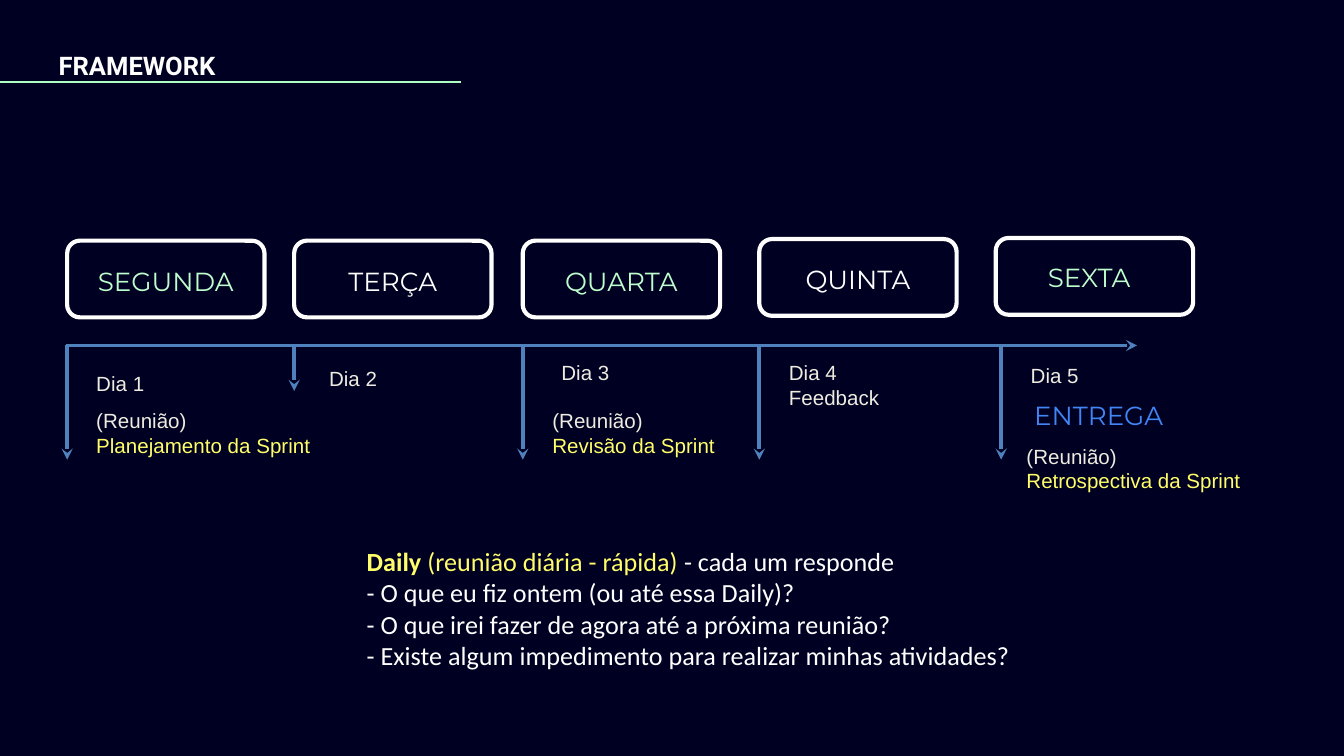
from lxml import etree
from pptx import Presentation, util as u
from pptx.dml.color import RGBColor
from pptx.enum import shapes, text
from pptx.oxml.ns import qn

COLORS = {"bg": "000022", "white": "FFFFFF", "mint": "BEFECD", "rule": "AEFFC1",
          "arrow": "4F81BD", "pale": "EEECE1", "yellow": "FFFE6A", "blue": "4285F4"}
FORMATS = {
    "title": {"name": "Roboto", "size": u.Pt(13.7), "bold": True},
    "day": {"name": "Montserrat", "size": u.Pt(14), "bold": False},
    "note": {"name": "Arial", "size": u.Pt(11), "bold": False},
    "daily": {"name": "Calibri", "size": u.Pt(14), "bold": False},
    "daily_bold": {"name": "Calibri", "size": u.Pt(14), "bold": True},
}
LEFT, CENTER = text.PP_ALIGN.LEFT, text.PP_ALIGN.CENTER


class Deck:
    """Holds the style and the current slide, and draws each kind of element."""

    def __init__(self, width, height):
        self.prs = Presentation()
        self.prs.slide_width, self.prs.slide_height = u.Cm(width), u.Cm(height)
        self.s = self.prs.slides.add_slide(self.prs.slide_layouts[1])
        fill = self.s.background.fill
        fill.solid()
        fill.fore_color.rgb = self.color("bg")

    def color(self, key):
        return RGBColor.from_string(COLORS[key])

    def set_text(self, sp, lines, insets, align=LEFT, spacing=1.0):
        tf = sp.text_frame
        x, y = (u.Cm(v) for v in insets)
        frame = {"word_wrap": True, "auto_size": text.MSO_AUTO_SIZE.NONE,
                 "vertical_anchor": text.MSO_ANCHOR.TOP, "margin_left": x,
                 "margin_right": x, "margin_top": y, "margin_bottom": y}
        for key, value in frame.items():
            setattr(tf, key, value)
        for i, runs in enumerate(lines):
            p = tf.add_paragraph() if i else tf.paragraphs[0]
            layout = {"alignment": align, "line_spacing": spacing,
                      "space_before": u.Pt(0), "space_after": u.Pt(0)}
            for key, value in layout.items():
                setattr(p, key, value)
            for words, style, color in runs:
                r = p.add_run()
                r.text = words
                for key, value in FORMATS[style].items():
                    setattr(r.font, key, value)
                r.font.color.rgb = self.color(color)

    def placeholder(self, idx, box, lines):
        sp = self.s.placeholders[idx]
        for key, value in zip(("left", "top", "width", "height"), box):
            setattr(sp, key, u.Cm(value))
        self.set_text(sp, lines, (0.25, 0.25))
        for p in sp.text_frame.paragraphs:
            pPr = p._p.get_or_add_pPr()
            pPr.set("marL", "0")
            pPr.set("indent", "0")
            etree.SubElement(pPr, qn("a:buNone"))

    def label(self, box, lines, insets=(0.25, 0.13), **layout):
        sp = self.s.shapes.add_textbox(*(u.Cm(v) for v in box))
        self.set_text(sp, lines, insets, **layout)

    def heading(self, left, top, words, color):
        self.label((left, top, 3.73, 0.86), [[(words, "day", color)]],
                   insets=(0, 0.02), align=CENTER, spacing=1.19)

    def card(self, left, top):
        sp = self.s.shapes.add_shape(shapes.MSO_SHAPE.ROUNDED_RECTANGLE,
                                     *(u.Cm(v) for v in (left, top, 3.73, 1.45)))
        sp.shadow.inherit = False
        sp.fill.background()
        sp.line.color.rgb = self.color("white")
        sp.line.width = u.Pt(2.25)

    def line(self, start, end, color, width, arrow=False):
        sp = self.s.shapes.add_connector(shapes.MSO_CONNECTOR.STRAIGHT,
                                         *(u.Cm(v) for v in start + end))
        sp.line.color.rgb = self.color(color)
        sp.line.width = u.Pt(width)
        spPr = sp._element.spPr
        if arrow:
            etree.SubElement(spPr.find(qn("a:ln")), qn("a:tailEnd"), type="stealth")
        etree.SubElement(spPr, qn("a:effectLst"))


def main():
    deck = Deck(25.4, 14.29)
    deck.placeholder(0, (0.86, 0.69, 10.06, 0.69), [[("FRAMEWORK", "title", "white")]])
    deck.line((-0.05, 1.55), (8.71, 1.55), "rule", 1.5)

    axis = 6.53
    deck.line((1.24, axis), (21.49, axis), "arrow", 2, arrow=True)
    days = [
        ("SEGUNDA", "mint", (1.27, 4.55), (1.27, 4.88), (1.27, 8.69), (1.57, 6.88), ["Dia 1"]),
        ("TERÇA", "white", (5.56, 4.55), (5.56, 4.88), (5.56, 7.39), (5.97, 6.78), ["Dia 2"]),
        ("QUARTA", "mint", (9.88, 4.55), (9.88, 4.88), (9.88, 8.69), (10.36, 6.68), ["Dia 3"]),
        ("QUINTA", "white", (14.35, 4.52), (14.35, 4.85), (14.35, 8.69), (14.66, 6.68),
         ["Dia 4", "Feedback"]),
        ("SEXTA", "mint", (18.82, 4.5), (18.72, 4.8), (18.92, 8.69), (19.23, 6.73), ["Dia 5"]),
    ]
    for name, color, card, heading, tip, note, words in days:
        deck.card(*card)
        deck.heading(*heading, name, color)
        deck.line((tip[0], axis), tip, "arrow", 2, arrow=True)
        deck.label((*note, 3.5, 0.74), [[(w, "note", "pale")] for w in words])
    deck.heading(18.9, 7.42, "ENTREGA", "blue")

    meetings = [
        ("Planejamento da Sprint", (1.57, 7.47, 4.78, 1.45), 0.25),
        ("Revisão da Sprint", (10.19, 7.47, 8.33, 1.45), 0.25),
        ("Retrospectiva da Sprint", (19.15, 8.26, 4.57, 1.45), 0.13),
    ]
    for name, box, inset in meetings:
        deck.label(box, [[("(Reunião)", "note", "pale")], [(name, "note", "yellow")]],
                   insets=(0.25, inset))

    questions = ["- O que eu fiz ontem (ou até essa Daily)?",
                 "- O que irei fazer de agora até a próxima reunião?",
                 "- Existe algum impedimento para realizar minhas atividades?"]
    intro = [("Daily", "daily_bold", "yellow"),
             (" (reunião diária - rápida)", "daily", "yellow"),
             (" - cada um responde", "daily", "white")]
    deck.placeholder(1, (6.68, 10.06, 12.85, 2.9),
                     [intro] + [[(q, "daily", "white")] for q in questions])
    deck.prs.save("out.pptx")


if __name__ == "__main__":
    main()
